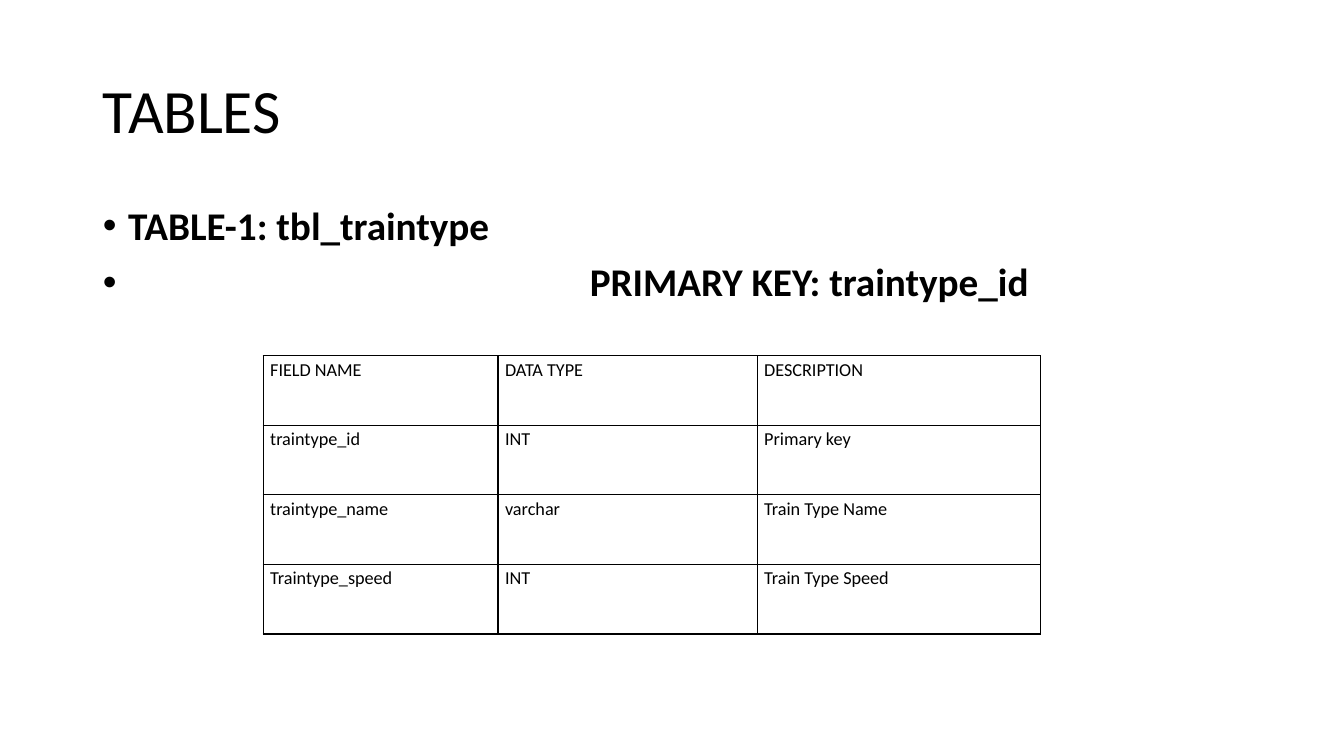
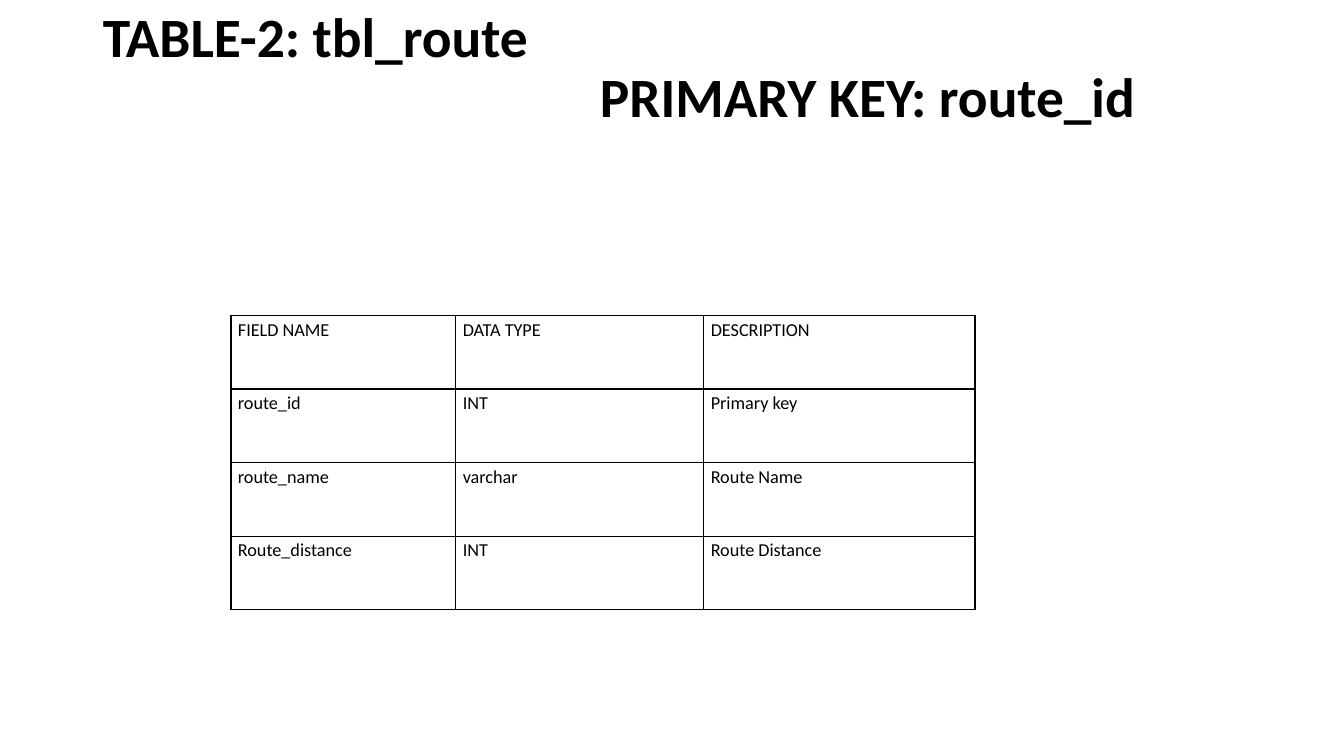
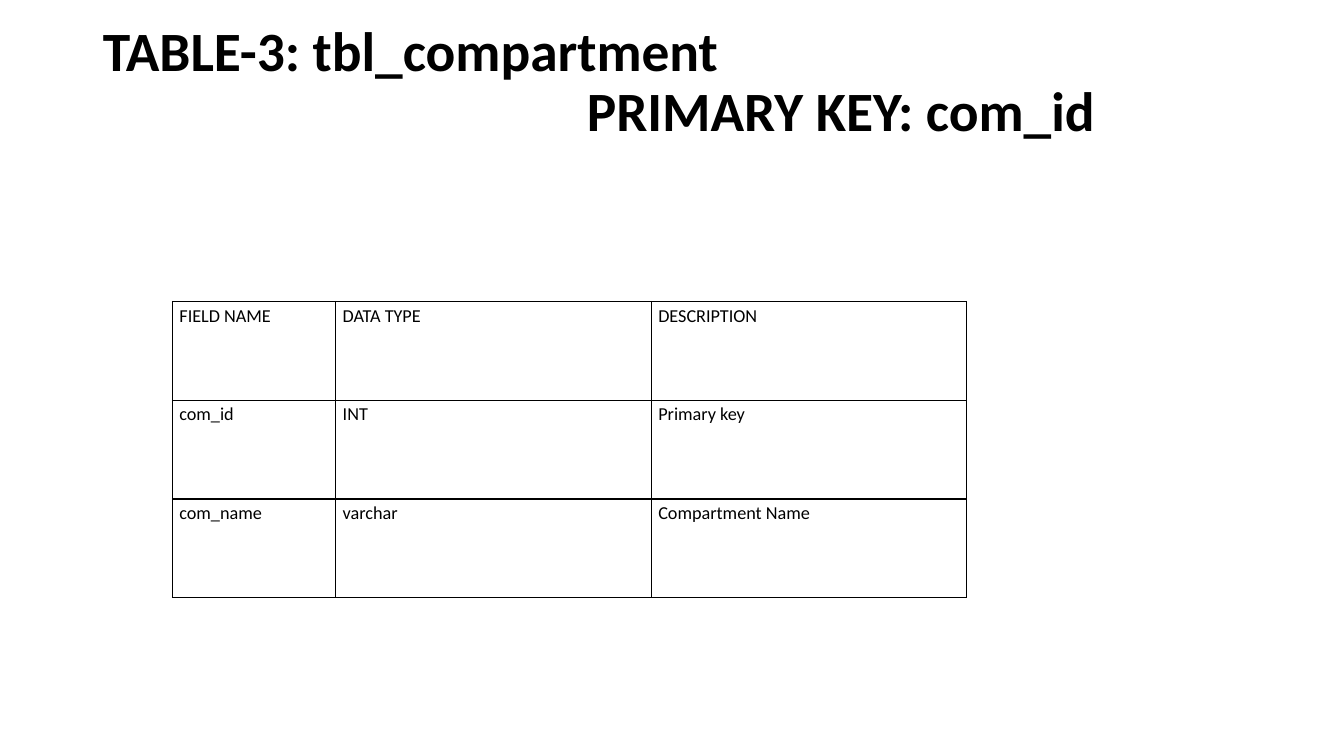
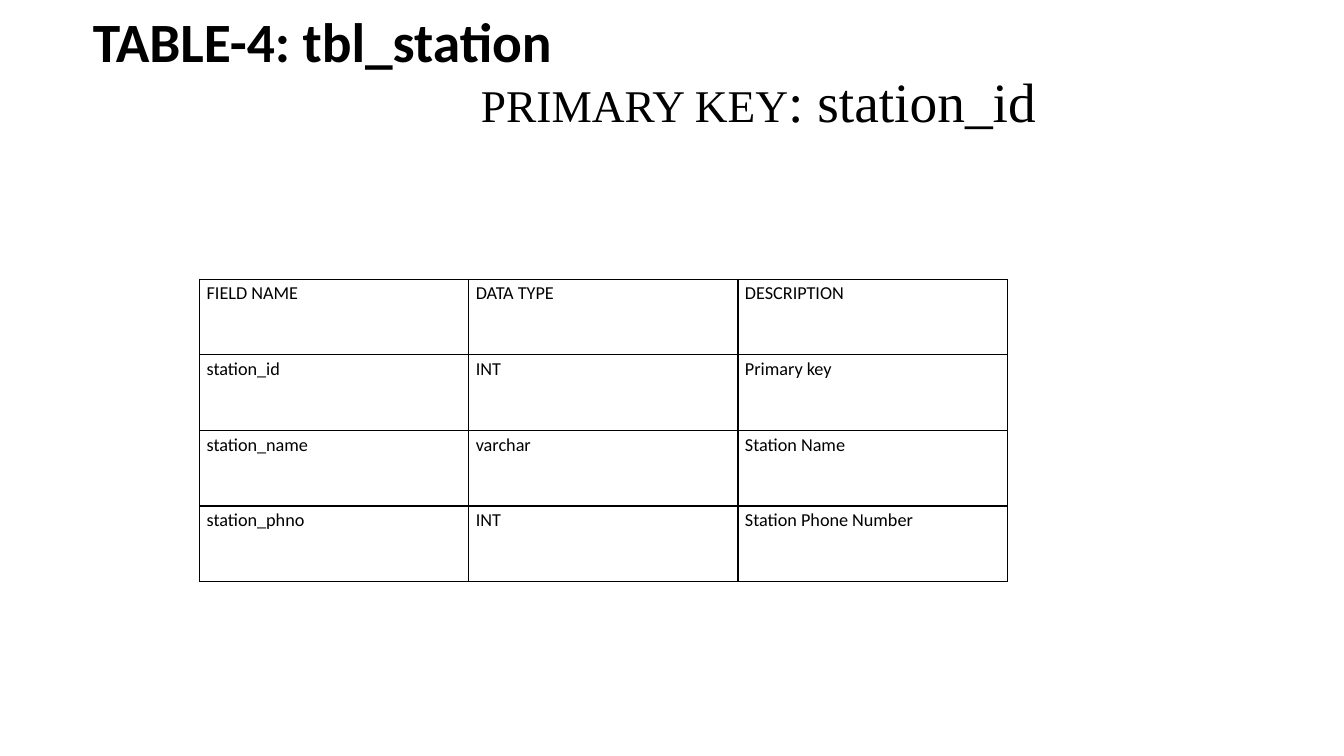
import pptx
import pptx.util
import pptx.dml.color
import pptx.enum.text
import pptx.oxml.ns
from lxml import etree

Inches = pptx.util.Inches
Pt = pptx.util.Pt

BLACK = "000000"
HEADINGS = ("FIELD NAME", "DATA TYPE", "DESCRIPTION")
PLAIN = {"name": "Calibri", "size": Pt(44), "bold": False}
STRONG = {"name": "Calibri", "size": Pt(39.6), "bold": True}
BULLET = {"name": "Calibri", "size": Pt(28), "bold": True}
SERIF = {"name": "Times New Roman", "size": Pt(39.6), "bold": False}
SERIF_SMALL = {**SERIF, "size": Pt(32.4)}
FIELD = {"name": "Calibri", "size": Pt(13), "bold": False}

TITLE_LINE = {"line_spacing": 0.9, "space_before": Pt(0),
              "alignment": pptx.enum.text.PP_ALIGN.LEFT}
BULLET_LINE = {**TITLE_LINE, "space_before": Pt(10)}
FIELD_LINE = {**TITLE_LINE, "line_spacing": 1.15}

TITLE_FRAME = {"word_wrap": True,
               "auto_size": pptx.enum.text.MSO_AUTO_SIZE.NONE,
               "vertical_anchor": pptx.enum.text.MSO_ANCHOR.MIDDLE}
BULLET_FRAME = {**TITLE_FRAME, "vertical_anchor": pptx.enum.text.MSO_ANCHOR.TOP}
RAISED_FRAME = {**TITLE_FRAME, "margin_top": 0, "margin_bottom": Inches(0.6)}
FIELD_CELL = {"margin_left": Inches(0.07), "margin_right": Inches(0.07),
              "margin_top": 0, "margin_bottom": 0,
              "vertical_anchor": pptx.enum.text.MSO_ANCHOR.TOP}

SLIDES = [
    {
        "title_box": (0.92, 0.4, 11.5, 1.45),
        "title_frame": TITLE_FRAME,
        "title": [(0, 0, [("TABLES", PLAIN)])],
        "bullets_box": (0.92, 2, 11.5, 4.76),
        "bullets": [
            (0.25, -0.25, [("TABLE-1: tbl_traintype", BULLET)]),
            (4.83, -4.83, [("PRIMARY KEY: traintype_id", BULLET)]),
        ],
        "corner": (2.61, 3.53), "columns": (2.33, 2.57, 2.81), "row_height": 0.69,
        "fields": [
            ("traintype_id", "INT", "Primary key"),
            ("traintype_name", "varchar", "Train Type Name"),
            ("Traintype_speed", "INT", "Train Type Speed"),
        ],
    },
    {
        "title_box": (0.92, 0.13, 11.5, 1.72),
        "title_frame": RAISED_FRAME,
        "title": [
            (0, 0, [("TABLE-2: tbl_route", STRONG)]),
            (4.93, 0, [("PRIMARY KEY: route_id", STRONG)]),
        ],
        "corner": (2.29, 3.13), "columns": (2.23, 2.46, 2.69), "row_height": 0.73,
        "fields": [
            ("route_id", "INT", "Primary key"),
            ("route_name", "varchar", "Route Name"),
            ("Route_distance", "INT", "Route Distance"),
        ],
    },
    {
        "title_box": (0.92, 0.4, 11.5, 1.45),
        "title_frame": RAISED_FRAME,
        "title": [
            (0, 0, [("TABLE-3: tbl_compartment", STRONG)]),
            (4.8, 0, [("PRIMARY KEY: com_id", STRONG)]),
        ],
        "corner": (1.71, 2.99), "columns": (1.62, 3.13, 3.13), "row_height": 0.98,
        "fields": [
            ("com_id", "INT", "Primary key"),
            ("com_name", "varchar", "Compartment Name"),
        ],
    },
    {
        "title_box": (0.82, 0.22, 11.5, 1.64),
        "title_frame": RAISED_FRAME,
        "title": [
            (0, 0, [("TABLE-4: tbl_station", STRONG)]),
            (3.85, 0, [("PRIMARY KEY", SERIF_SMALL), (": station_id", SERIF)]),
        ],
        "corner": (1.98, 2.77), "columns": (2.67, 2.67, 2.67), "row_height": 0.75,
        "fields": [
            ("station_id", "INT", "Primary key"),
            ("station_name", "varchar", "Station Name"),
            ("station_phno", "INT", "Station Phone Number"),
        ],
    },
]


def color(hex_code):
    return pptx.dml.color.RGBColor.from_string(hex_code)


def apply(target, values):
    for attribute, value in values.items():
        setattr(target, attribute, value)


def add_words(paragraph, words, font_format):
    run = paragraph.add_run()
    run.text = words
    apply(run.font, font_format)
    run.font.color.rgb = color(BLACK)


def fill_placeholder(holder, box, frame_format, lines, line_format):
    apply(holder, dict(zip(("left", "top", "width", "height"), map(Inches, box))))
    frame = holder.text_frame
    apply(frame, frame_format)
    for number, (margin, indent, runs) in enumerate(lines):
        paragraph = frame.add_paragraph() if number else frame.paragraphs[0]
        apply(paragraph, line_format)
        properties = paragraph._p.get_or_add_pPr()
        properties.set("marL", str(Inches(margin)))
        properties.set("indent", str(Inches(indent)))
        for words, font_format in runs:
            add_words(paragraph, words, font_format)


def outline(cell):
    qn = pptx.oxml.ns.qn
    properties = cell._tc.get_or_add_tcPr()
    for position, side in enumerate(("a:lnL", "a:lnR", "a:lnT", "a:lnB")):
        border = etree.Element(qn(side), w=str(Pt(1)))
        solid = etree.SubElement(border, qn("a:solidFill"))
        etree.SubElement(solid, qn("a:srgbClr"), val=BLACK)
        properties.insert(position, border)


def add_fields(slide, corner, columns, row_height, fields):
    rows = [HEADINGS, *fields]
    size = (sum(columns), row_height * len(rows))
    table = slide.shapes.add_table(len(rows), len(columns),
                                   *map(Inches, corner + size)).table
    apply(table, {"first_row": False, "horz_banding": False})
    for column, width in zip(table.columns, columns):
        column.width = Inches(width)
    for row, entries in zip(table.rows, rows):
        row.height = Inches(row_height)
        for cell, entry in zip(row.cells, entries):
            apply(cell, FIELD_CELL)
            cell.fill.background()
            outline(cell)
            paragraph = cell.text_frame.paragraphs[0]
            apply(paragraph, FIELD_LINE)
            add_words(paragraph, entry, FIELD)


deck = pptx.Presentation()
apply(deck, {"slide_width": Inches(13.33), "slide_height": Inches(7.5)})
TITLE_AND_BODY, TITLE_ONLY = deck.slide_layouts[1], deck.slide_layouts[5]

for content in SLIDES:
    has_bullets = "bullets" in content
    slide = deck.slides.add_slide(TITLE_AND_BODY if has_bullets else TITLE_ONLY)
    fill_placeholder(slide.shapes.title, content["title_box"],
                     content["title_frame"], content["title"], TITLE_LINE)
    if has_bullets:
        fill_placeholder(slide.placeholders[1], content["bullets_box"],
                         BULLET_FRAME, content["bullets"], BULLET_LINE)
    add_fields(slide, content["corner"], content["columns"],
               content["row_height"], content["fields"])

deck.save("out.pptx")
